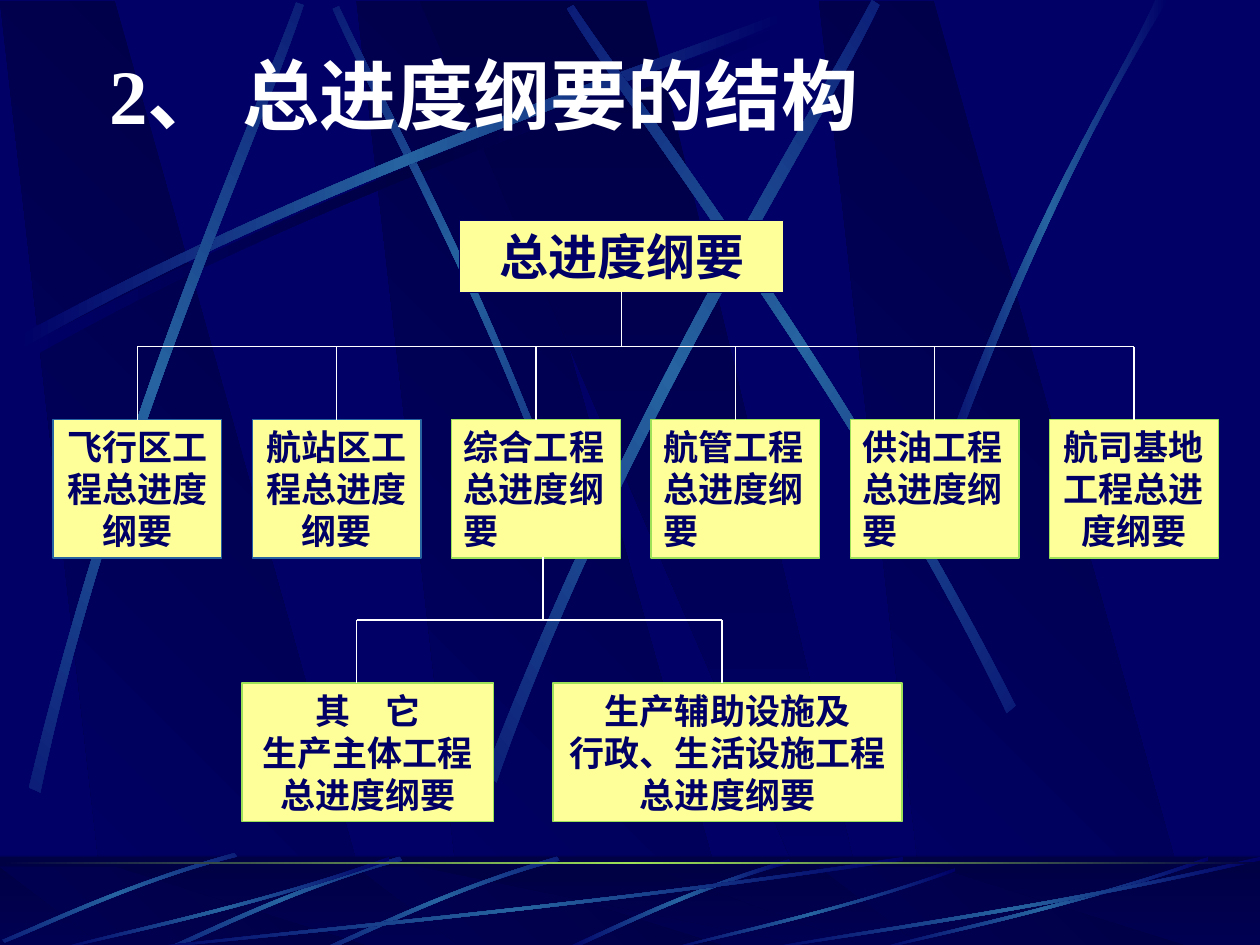
from math import cos, radians, sin

from lxml.etree import SubElement
from pptx import Presentation
from pptx.dml.color import RGBColor
from pptx.enum.shapes import MSO_CONNECTOR, MSO_SHAPE
from pptx.enum.text import MSO_ANCHOR, MSO_AUTO_SIZE, PP_ALIGN
from pptx.oxml.ns import qn
from pptx.util import Inches, Pt

COLORS = {"navy": "000066", "night": "000044", "steel": "2663A0",
          "lime": "9CE157", "cream": "FFFF99", "white": "FFFFFF"}
CJK_FONT = "Noto Sans CJK SC"
SHADE = ("night", "navy")
SHADOW = ("navy", "night", "navy")
GLOW = ("navy", "steel", "navy")
TOP, BOTTOM = 0, 2

# Each beam: start, two controls, end, next corner, two controls, end.
UPPER_BEAMS = [
    (SHADOW, 0, [(0.2, 2.75), (2.84, 1.34), (5.24, 0.59), (6.26, 0.18),
                 (6.29, 0.24), (5.28, 0.69), (2.54, 1.51), (0.23, 2.85)]),
    (GLOW, 45, [(4.6, 4.36), (3.91, 2.34), (3.02, 0.77), (2.69, 0.05),
                (2.64, 0.07), (2.95, 0.79), (3.98, 2.58), (4.54, 4.39)]),
    (GLOW, 0, [(0.14, 2.67), (2.78, 1.25), (5.18, 0.51), (6.2, 0.1),
               (6.23, 0.16), (5.22, 0.61), (2.48, 1.43), (0.17, 2.77)]),
    (GLOW, 311.7, [(0.23, 6.25), (0.93, 3.34), (1.97, 1.05), (2.35, 0.02),
                   (2.41, 0.04), (2.07, 1.08), (0.86, 3.68), (0.32, 6.29)]),
    (GLOW, 321.6, [(3.85, 6.14), (4.98, 3.2), (6.38, 1.02), (6.92, 0),
                   (6.98, 0.04), (6.49, 1.08), (4.86, 3.55), (3.94, 6.21)]),
    (GLOW, 34.8, [(8.06, 5.6), (6.7, 2.93), (5.16, 0.95), (4.55, 0.04),
                  (4.5, 0.07), (5.07, 1.01), (6.85, 3.25), (7.99, 5.66)]),
    (GLOW, 0, [(7.38, 3.93), (8.14, 1.73), (8.88, 0.66), (9.17, 0),
               (9.27, 0), (8.36, 1.45), (7.69, 3.22), (7.44, 3.97)]),
]
# Floor beams as fractions of their box.
SHORT_BEAM = [(0.99, 0), (0.53, 0.33), (0.16, 0.8), (0, 0.97),
              (0.01, 1), (0.17, 0.84), (0.58, 0.31), (1, 0.04)]
LONG_BEAM = [(1, 0.04), (0.57, 0.57), (0.17, 0.85), (0, 1),
             (0, 0.99), (0.16, 0.81), (0.61, 0.51), (1, 0)]
FLOOR_BEAMS = [
    (SHORT_BEAM, 0, (4.48, 6.82, 1.8, 0.73)),
    (SHORT_BEAM, 314.9, (2.56, 6.8, 1.88, 0.75)),
    (SHORT_BEAM, 314.9, (1.31, 6.8, 1.88, 0.75)),
    (SHORT_BEAM, 314.9, (0.02, 6.77, 1.86, 0.71)),
    (LONG_BEAM, 0, (1, 6.8, 6.17, 0.75)),
    (LONG_BEAM, 0, (0.42, 6.8, 2.67, 0.75)),
    (LONG_BEAM, 0, (5.27, 6.89, 2.31, 0.66)),
    (LONG_BEAM, 0, (6.92, 6.8, 2.67, 0.75)),
    (LONG_BEAM, 0, (6, 6.8, 4, 0.75)),
]
BRANCHES = [
    ("飞行区工程总进度纲要", PP_ALIGN.CENTER, "steel"),
    ("航站区工程总进度纲要", PP_ALIGN.CENTER, "steel"),
    ("综合工程总进度纲要", PP_ALIGN.LEFT, "lime"),
    ("航管工程总进度纲要", PP_ALIGN.LEFT, "lime"),
    ("供油工程总进度纲要", PP_ALIGN.LEFT, "lime"),
    ("航司基地工程总进度纲要", PP_ALIGN.CENTER, "lime"),
]


def rgb(name):
    return RGBColor.from_string(COLORS[name])


def fill_gradient(shape, names, angle):
    shape.shadow.inherit = False
    shape.line.fill.background()
    shape.fill.gradient()
    gradient = shape.fill._xPr.find(qn("a:gradFill"))
    for child in list(gradient):
        gradient.remove(child)
    gradient.set("rotWithShape", "1")
    stops = SubElement(gradient, qn("a:gsLst"))
    for i, name in enumerate(names):
        stop = SubElement(stops, qn("a:gs"), pos=str(100000 * i // (len(names) - 1)))
        SubElement(stop, qn("a:srgbClr"), val=COLORS[name])
    SubElement(gradient, qn("a:lin"), ang=str(angle * 60000), scaled="0")


def add_outline(slide, points):
    corners = [(Inches(x), Inches(y)) for x, y in points]
    builder = slide.shapes.build_freeform(*corners[0])
    builder.add_line_segments(corners[1:], close=True)
    return builder.convert_to_shape()


def add_rect(slide, box):
    shape = slide.shapes.add_shape(MSO_SHAPE.RECTANGLE, *map(Inches, box))
    shape.shadow.inherit = False
    shape.line.fill.background()
    return shape


def rotate(x, y, degrees):
    a = radians(degrees)
    return x * cos(a) - y * sin(a), x * sin(a) + y * cos(a)


def bend_sides(beam):
    """Turn the two long sides, three segments each, into Bezier curves."""
    segments = list(beam._element.iter(qn("a:lnTo")))
    for side in (segments[:3], segments[4:]):
        bezier = side[0].makeelement(qn("a:cubicBezTo"))
        side[0].addprevious(bezier)
        for segment in side:
            bezier.append(segment[0])
            segment.getparent().remove(segment)


def add_beam(slide, controls, colors, turn):
    """Beam whose gradient axis is turned together with the shape."""
    beam = add_outline(slide, [rotate(x, y, -turn) for x, y in controls])
    bend_sides(beam)
    center_x, center_y = rotate(beam.left + beam.width / 2, beam.top + beam.height / 2, turn)
    beam.left = round(center_x - beam.width / 2)
    beam.top = round(center_y - beam.height / 2)
    beam.rotation = turn
    fill_gradient(beam, colors, 180)


def add_panels(slide, top, height):
    panel = [(0, 0), (0.91, 0), (3.02, 1), (0.86, 1)]
    wedge = [(0, 0), (1.8, 0), (3.61, 1), (3.25, 1)]
    for left, outline, angle in [(2.83, panel, 135), (0, panel, 135),
                                 (6.5, panel, 135), (3.33, wedge, 90)]:
        shape = add_outline(slide, [(left + x, top + y * height) for x, y in outline])
        fill_gradient(shape, SHADE, angle)


def add_backdrop(slide):
    slide.background.fill.solid()
    slide.background.fill.fore_color.rgb = rgb("navy")
    add_panels(slide, 0.01, 7.51)
    for colors, turn, controls in UPPER_BEAMS:
        add_beam(slide, controls, colors, turn)


def add_floor(slide):
    fill_gradient(add_rect(slide, (0, 6.8, 10, 0.75)), SHADE, 90)
    add_panels(slide, 6.88, 0.66)
    veil = add_rect(slide, (0, 6.79, 10, 0.75))
    veil.fill.solid()
    veil.fill.fore_color.rgb = rgb("night")
    SubElement(veil.fill._xPr.find(qn("a:solidFill"))[0], qn("a:alpha"), val="50000")
    for outline, turn, (left, top, width, height) in FLOOR_BEAMS:
        controls = [(left + x * width, top + y * height) for x, y in outline]
        add_beam(slide, controls, GLOW, turn)
    fill_gradient(add_rect(slide, (0, 6.84, 10, 0.02)), ("night", "lime", "night"), 180)


def write(shape, lines, size, color, align, anchor=MSO_ANCHOR.TOP, font=CJK_FONT):
    frame = shape.text_frame
    frame.text = "\n".join(lines)
    for key, value in {"word_wrap": True, "vertical_anchor": anchor,
                       "auto_size": MSO_AUTO_SIZE.SHAPE_TO_FIT_TEXT}.items():
        setattr(frame, key, value)
    for paragraph in frame.paragraphs:
        paragraph.alignment = align
        paragraph.line_spacing = Pt(1.2 * size)
        for run in paragraph.runs:
            for key, value in {"name": font, "size": Pt(size), "bold": True}.items():
                setattr(run.font, key, value)
            run.font.color.rgb = rgb(color)
            SubElement(run.font._rPr, qn("a:ea"), typeface=CJK_FONT)


def add_title(slide, box):
    title = slide.shapes.add_textbox(*map(Inches, box))
    write(title, ["2、 总进度纲要的结构"], 44, "white", PP_ALIGN.LEFT,
          MSO_ANCHOR.MIDDLE, "Times New Roman")


def add_node(slide, box, lines, size=20, align=PP_ALIGN.CENTER, border="lime"):
    node = add_rect(slide, box)
    node.fill.solid()
    node.fill.fore_color.rgb = rgb("cream")
    node.line.color.rgb = rgb(border)
    node.line.width = Pt(0.75)
    write(node, lines, size, "navy", align)
    return node


def add_link(slide, x1, y1, x2, y2):
    link = slide.shapes.add_connector(MSO_CONNECTOR.STRAIGHT, *map(Inches, (x1, y1, x2, y2)))
    link.line.color.rgb = rgb("white")
    link.line.width = Pt(0.75)
    SubElement(link._element.spPr, qn("a:effectLst"))
    return link


def add_structure(slide, left, right, bus_y=2.75, branch_top=3.33, width=1.34):
    root_left, root_width = 3.65, 2.57
    root = add_node(slide, (root_left, 1.75, root_width, 0.57), ["总进度纲要"], 28, border="navy")
    root_x = root_left + root_width / 2
    add_link(slide, root_x, 2.32, root_x, bus_y).begin_connect(root, BOTTOM)
    pitch = (right - left - width) / (len(BRANCHES) - 1)
    centers = [left + width / 2 + i * pitch for i in range(len(BRANCHES))]
    for center, (label, align, border) in zip(centers, BRANCHES):
        box = (center - width / 2, branch_top, width, 1.1)
        branch = add_node(slide, box, [label], 20, align, border)
        add_link(slide, center, bus_y, center, branch_top).end_connect(branch, TOP)
    add_link(slide, centers[0], bus_y, root_x, bus_y)
    add_link(slide, centers[2], bus_y, centers[-1], bus_y)


def add_substructure(slide, top, bus_y=4.92):
    add_node(slide, (4.39, top, 2.77, 1.1),
             ["生产辅助设施及", "行政、生活设施工程", "总进度纲要"])
    add_node(slide, (1.92, top, 2, 1.1), ["其　它", "生产主体工程", "总进度纲要"])
    for x in (2.83, 5.73):
        add_link(slide, x, bus_y, x, top)
    add_link(slide, 2.83, bus_y, 5.73, bus_y)
    add_link(slide, 4.31, 4.42, 4.31, bus_y)


def main():
    deck = Presentation()
    deck.slide_width, deck.slide_height = Inches(10), Inches(7.5)
    slide = deck.slides.add_slide(deck.slide_layouts[6])
    add_backdrop(slide)
    add_floor(slide)
    add_structure(slide, left=0.42, right=9.67)
    add_substructure(slide, top=5.42)
    add_title(slide, (0.77, 0.32, 7.46, 0.84))
    deck.save("out.pptx")


if __name__ == "__main__":
    main()
